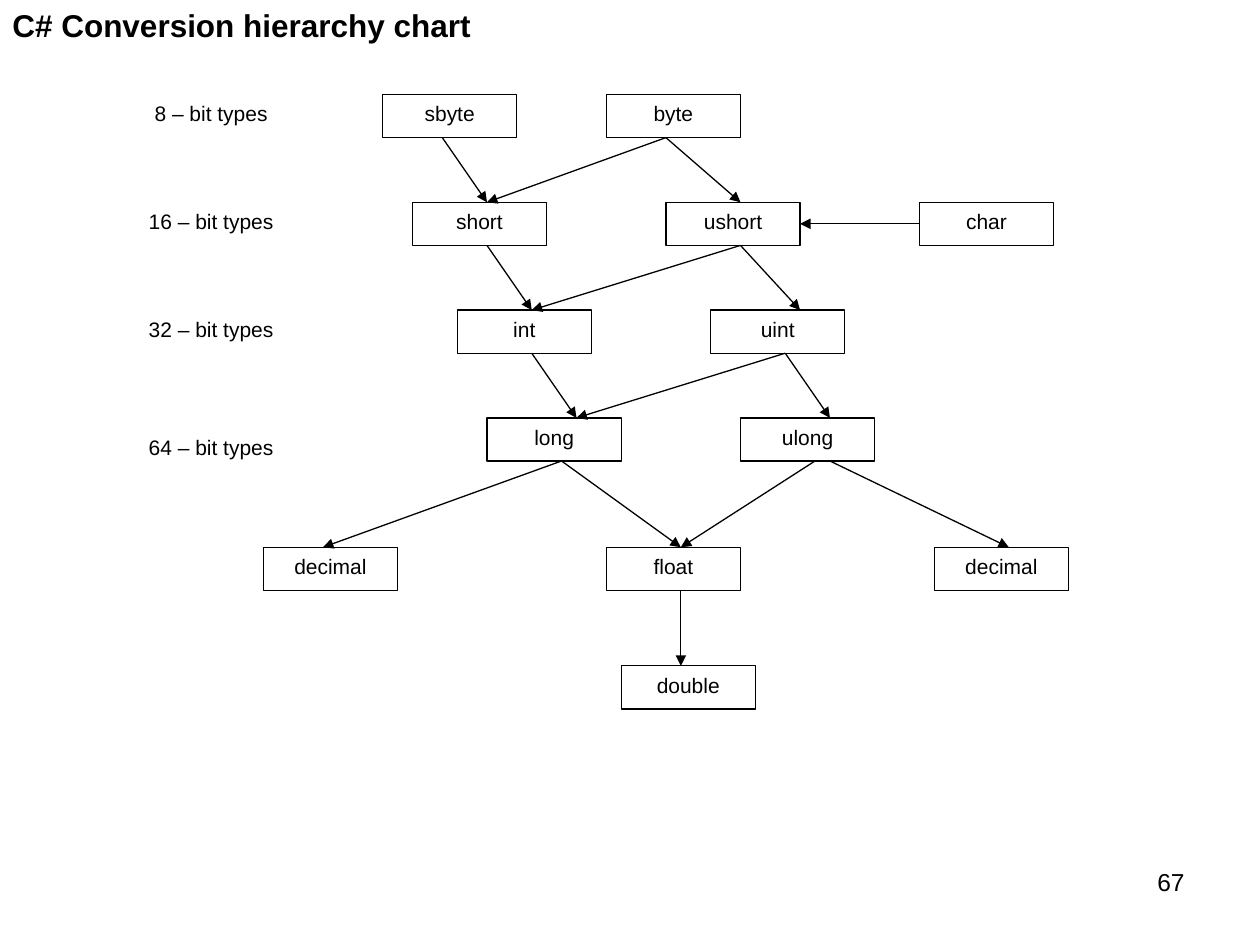
from lxml.etree import SubElement
from pptx import Presentation
from pptx.dml.color import RGBColor
from pptx.enum.shapes import MSO_CONNECTOR, MSO_SHAPE
from pptx.enum.text import MSO_ANCHOR, PP_ALIGN
from pptx.oxml.ns import qn
from pptx.util import Pt

# Content: positions are grid units (column, row)
TITLE = "C# Conversion hierarchy chart"
PAGE_NUMBER = "67"
TYPES = {  # key: (text, column, row)
    "sbyte": ("sbyte", 8, 0),
    "byte": ("byte", 23, 0),
    "short": ("short", 10, 10),
    "ushort": ("ushort", 27, 10),
    "char": ("char", 44, 10),
    "int": ("int", 13, 20),
    "uint": ("uint", 30, 20),
    "long": ("long", 15, 30),
    "ulong": ("ulong", 32, 30),
    "decimal left": ("decimal", 0, 42),
    "float": ("float", 23, 42),
    "decimal right": ("decimal", 45, 42),
    "double": ("double", 24, 53),
}
SIZE_LABELS = [
    ("8 – bit types", 0),
    ("16 – bit types", 10),
    ("32 – bit types", 20),
    ("64 – bit types", 31),
]
CONVERSIONS = [  # source, units along its bottom, target, units along its top
    ("sbyte", 4, "short", 5),
    ("byte", 4, "short", 5),
    ("byte", 4, "ushort", 5),
    ("short", 5, "int", 5),
    ("ushort", 5, "int", 5),
    ("ushort", 5, "uint", 6),
    ("int", 5, "long", 6),
    ("uint", 5, "long", 6),
    ("uint", 5, "ulong", 6),
    ("long", 5, "decimal left", 4),
    ("long", 5, "float", 5),
    ("ulong", 5, "float", 5),
    ("ulong", 6, "decimal right", 5),
    ("float", 5, "double", 4),
]

THEME = {
    "font": "Arial",
    "ink": RGBColor(0, 0, 0),
    "paper": RGBColor(255, 255, 255),
    "title": Pt(18),
    "number": Pt(14),
    "label": Pt(12),
    "line": Pt(0.75),
}

# Grid: origin and unit in points, box sizes in units
X0, Y0, UNIT_X, UNIT_Y = 150.5, 54, 8.52, 6.16
BOX_W, BOX_H = 9, 4
LABEL_COL, LABEL_W, LABEL_H = -9, 11, 6


def grid(col, row):
    return Pt(X0 + col * UNIT_X), Pt(Y0 + row * UNIT_Y)


def write(sp, text, size, align, anchor=MSO_ANCHOR.TOP, bold=False, wrap=True):
    tf = sp.text_frame
    tf.word_wrap = wrap
    tf.vertical_anchor = anchor
    p = tf.paragraphs[0]
    p.alignment = align
    r = p.add_run()
    r.text = text
    r.font.name, r.font.size, r.font.bold = THEME["font"], size, bold
    r.font.color.rgb = THEME["ink"]


def add_box(s, text, col, row, cols, rows, line):
    sp = s.shapes.add_shape(MSO_SHAPE.RECTANGLE, *grid(col, row),
                            Pt(cols * UNIT_X), Pt(rows * UNIT_Y))
    sp.shadow.inherit = False
    sp.fill.solid()
    sp.fill.fore_color.rgb = THEME["paper"]
    sp.line.color.rgb = line
    sp.line.width = THEME["line"]
    write(sp, text, THEME["label"], PP_ALIGN.CENTER)
    return sp


def add_arrow(s, start, end):
    cxn = s.shapes.add_connector(MSO_CONNECTOR.STRAIGHT, *start, *end)
    cxn.line.color.rgb = THEME["ink"]
    cxn.line.width = THEME["line"]
    SubElement(cxn.line._get_or_add_ln(), qn("a:tailEnd"), type="triangle")
    SubElement(cxn._element.spPr, qn("a:effectLst"))
    return cxn


def main():
    prs = Presentation()
    prs.slide_width, prs.slide_height = Pt(720), Pt(540)
    s = prs.slides.add_slide(prs.slide_layouts[6])

    # Title and page number
    title = s.shapes.add_textbox(Pt(0), Pt(0), Pt(276.5), Pt(29))
    write(title, TITLE, THEME["title"], PP_ALIGN.LEFT,
          MSO_ANCHOR.MIDDLE, bold=True, wrap=False)
    number = s.shapes.add_textbox(Pt(516), Pt(492), Pt(168), Pt(37.5))
    write(number, PAGE_NUMBER, THEME["number"], PP_ALIGN.RIGHT)

    # Size labels and type boxes
    for text, row in SIZE_LABELS:
        add_box(s, text, LABEL_COL, row, LABEL_W, LABEL_H, THEME["paper"])
    boxes = {key: add_box(s, text, col, row, BOX_W, BOX_H, THEME["ink"])
             for key, (text, col, row) in TYPES.items()}

    # Downward conversions
    for source, out, target, into in CONVERSIONS:
        _, col, row = TYPES[source]
        _, to_col, to_row = TYPES[target]
        add_arrow(s, grid(col + out, row + BOX_H), grid(to_col + into, to_row))

    # Sideways conversion from char to ushort
    cxn = add_arrow(s, grid(44, 12), grid(36, 12))
    cxn.begin_connect(boxes["char"], 1)
    cxn.end_connect(boxes["ushort"], 3)

    prs.save("out.pptx")


if __name__ == "__main__":
    main()
